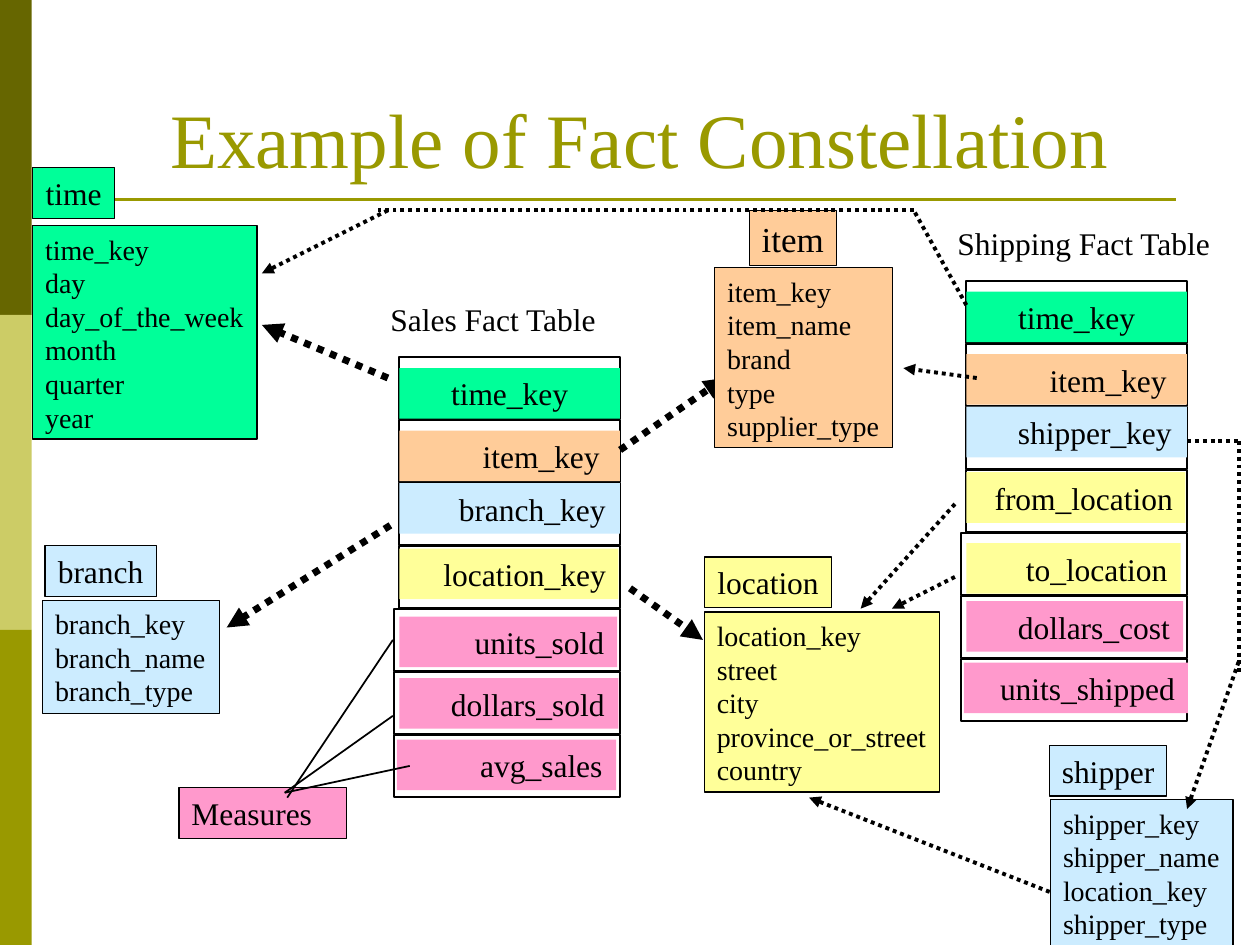
from lxml.etree import SubElement
from pptx import Presentation
from pptx.dml.color import RGBColor
from pptx.enum.dml import MSO_LINE
from pptx.enum.shapes import MSO_CONNECTOR, MSO_SHAPE
from pptx.enum.text import MSO_ANCHOR, PP_ALIGN
from pptx.oxml.ns import qn
from pptx.util import Cm, Pt

FONT = "Times New Roman"
BLACK, OLIVE = "000000", "999900"
GREEN, ORANGE, BLUE, YELLOW, PINK = "00FF99", "FFCC99", "CCECFF", "FFFF99", "FF99CC"
ROW_PITCH = 1.27
LINE_HEIGHT = 0.67


def colour(value):
    return RGBColor.from_string(value)


def add_box(page, box, fill=None, line=None, width=0.75):
    shape = page.shapes.add_shape(MSO_SHAPE.RECTANGLE, *map(Cm, box))
    shape.shadow.inherit = False
    if fill:
        shape.fill.solid()
        shape.fill.fore_color.rgb = colour(fill)
    else:
        shape.fill.background()
    if line:
        shape.line.color.rgb = colour(line)
        shape.line.width = Pt(width)
    else:
        shape.line.fill.background()
    return shape


def set_text(shape, text, size=18, color=BLACK, align=PP_ALIGN.LEFT,
             anchor=MSO_ANCHOR.TOP, wrap=False, left=0.25, right=0.25):
    frame = shape.text_frame
    frame.word_wrap = wrap
    frame.vertical_anchor = anchor
    frame.margin_left, frame.margin_right = Cm(left), Cm(right)
    frame.margin_top = frame.margin_bottom = Cm(0.13)
    frame.text = text
    for para in frame.paragraphs:
        para.alignment = align
        para.font.name = FONT
        para.font.size = Pt(size)
        para.font.color.rgb = colour(color)


def add_label(page, box, text, **text_format):
    set_text(page.shapes.add_textbox(*map(Cm, box)), text, **text_format)


def add_line(page, points, width=1, color=BLACK, dotted=False, arrow=False):
    line = page.shapes.add_connector(MSO_CONNECTOR.STRAIGHT, *map(Cm, points))
    line.line.color.rgb = colour(color)
    line.line.width = Pt(width)
    if dotted:
        line.line.dash_style = MSO_LINE.ROUND_DOT
    if arrow:
        SubElement(line.line._get_or_add_ln(), qn("a:tailEnd"), type="triangle")
    SubElement(line._element.spPr, qn("a:effectLst"))


def draw_background(page, width, height):
    band = height / 3
    for index, fill in enumerate(("666600", "CCCC66", OLIVE)):
        add_box(page, (0, index * band, 0.64, band), fill)
    add_line(page, (1.27, 4.02, 23.71, 4.02), 1.5, OLIVE)


def draw_dimension(page, left, top, width, fill, name, fields, head, size=18):
    """Field list at left, top; head gives the name box's offset, width and height."""
    head_left, head_top, head_width, head_height = head
    body = add_box(page, (left, top, width, len(fields) * LINE_HEIGHT + 0.28), fill, BLACK)
    set_text(body, "\n".join(fields), size=16)
    label = add_box(page, (left + head_left, top + head_top, head_width, head_height),
                    fill, BLACK)
    set_text(label, name, size=size, align=PP_ALIGN.CENTER, anchor=MSO_ANCHOR.MIDDLE)


def draw_fact_table(page, left, top, rows):
    """Rows hold text, fill, indent, then the bar's left, top and width."""
    for index, (text, fill, indent, bar_left, bar_top, bar_width) in enumerate(rows):
        # The last three frames reach a little further left
        extra = 0.1 if index > 3 else 0
        add_box(page, (left - extra, top + index * ROW_PITCH, 4.45 + extra, ROW_PITCH - 0.02),
                line=BLACK, width=1)
        bar = add_box(page, (left + bar_left, top + bar_top, bar_width, 1.02), fill)
        if indent:
            set_text(bar, text, wrap=True, left=0.25 + indent, right=0)
        else:
            set_text(bar, text, wrap=True, align=PP_ALIGN.CENTER)


def main():
    deck = Presentation()
    deck.slide_width, deck.slide_height = Cm(25.4), Cm(19.05)
    page = deck.slides.add_slide(deck.slide_layouts[6])

    draw_background(page, 25.4, 19.05)
    add_label(page, (3.18, 1.9, 20.75, 1.93), "Example of Fact Constellation",
              size=44, color=OLIVE, anchor=MSO_ANCHOR.BOTTOM, wrap=True)

    # Fact tables
    add_label(page, (7.62, 5.92, 4.7, 1.02), "Sales Fact Table")
    draw_fact_table(page, 8.05, 7.2, [
        ("time_key", GREEN, 0, 0, 0.22, 4.45),
        ("item_key", ORANGE, 1.43, 0, 1.48, 4.45),
        ("branch_key", BLUE, 0.95, 0, 2.54, 4.45),
        ("location_key", YELLOW, 0.64, 0, 3.86, 4.42),
        ("units_sold", PINK, 1.27, 0, 5.23, 4.39),
        ("dollars_sold", PINK, 0.79, 0, 6.47, 4.42),
        ("avg_sales", PINK, 1.43, -0.05, 7.71, 4.42),
    ])
    add_label(page, (19.05, 4.39, 5.66, 1.02), "Shipping Fact Table")
    draw_fact_table(page, 19.48, 5.66, [
        ("time_key", GREEN, 0, 0, 0.22, 4.45),
        ("item_key", ORANGE, 1.43, 0, 1.48, 4.45),
        ("shipper_key", BLUE, 0.79, 0, 2.54, 4.45),
        ("from_location", YELLOW, 0.32, 0, 3.86, 4.42),
        ("to_location", YELLOW, 0.95, 0, 5.29, 4.32),
        ("dollars_cost", PINK, 0.79, 0, 6.46, 4.37),
        ("units_shipped", PINK, 0.48, -0.05, 7.7, 4.52),
    ])

    # Measures and their pointers
    measures = add_box(page, (3.61, 15.88, 3.38, 1.02), PINK, BLACK)
    set_text(measures, "Measures", wrap=True)
    for points in ((5.79, 16.08, 7.92, 12.9), (5.74, 15.98, 7.92, 14.43),
                   (5.74, 15.98, 8.26, 15.44)):
        add_line(page, points)

    # Sales keys to dimensions
    for points in ((7.87, 10.59, 4.57, 12.65), (7.82, 7.62, 5.28, 6.55),
                   (12.7, 11.86, 14.17, 12.9), (12.5, 9.07, 14.61, 7.62)):
        add_line(page, points, 4, dotted=True, arrow=True)

    # Dimension tables
    draw_dimension(page, 0.66, 4.55, 4.52, GREEN, "time",
                   ["time_key", "day", "day_of_the_week", "month", "quarter", "year"],
                   (0, -1.17, 1.65, 1.02))
    draw_dimension(page, 14.2, 12.34, 4.74, YELLOW, "location",
                   ["location_key", "street", "city", "province_or_street", "country"],
                   (0, -1.11, 2.57, 1.02))
    draw_dimension(page, 14.41, 5.4, 3.58, ORANGE, "item",
                   ["item_key", "item_name", "brand", "type", "supplier_type"],
                   (0.7, -1.16, 1.75, 1.12), size=20)
    draw_dimension(page, 0.86, 12.1, 3.56, BLUE, "branch",
                   ["branch_key", "branch_name", "branch_type"],
                   (0.05, -1.1, 2.24, 1.02))
    draw_dimension(page, 21.18, 16.12, 3.68, BLUE, "shipper",
                   ["shipper_key", "shipper_name", "location_key", "shipper_type"],
                   (-0.02, -1.09, 2.36, 1.02))

    # Shipping keys to dimensions: plain segments, then arrows
    for points in ((19.48, 6.15, 18.42, 4.24), (18.42, 4.24, 7.62, 4.24),
                   (23.93, 8.89, 24.97, 8.89), (24.97, 8.89, 24.97, 13.54)):
        add_line(page, points, 2.25, dotted=True)
    for points in ((7.82, 4.24, 5.28, 5.51), (19.69, 7.62, 18.21, 7.42),
                   (19.25, 10.16, 17.35, 12.27), (19.25, 11.63, 17.98, 12.27),
                   (24.97, 13.34, 23.93, 16.31), (21.16, 17.98, 16.31, 16.08)):
        add_line(page, points, 2.25, dotted=True, arrow=True)

    deck.save("out.pptx")


if __name__ == "__main__":
    main()
